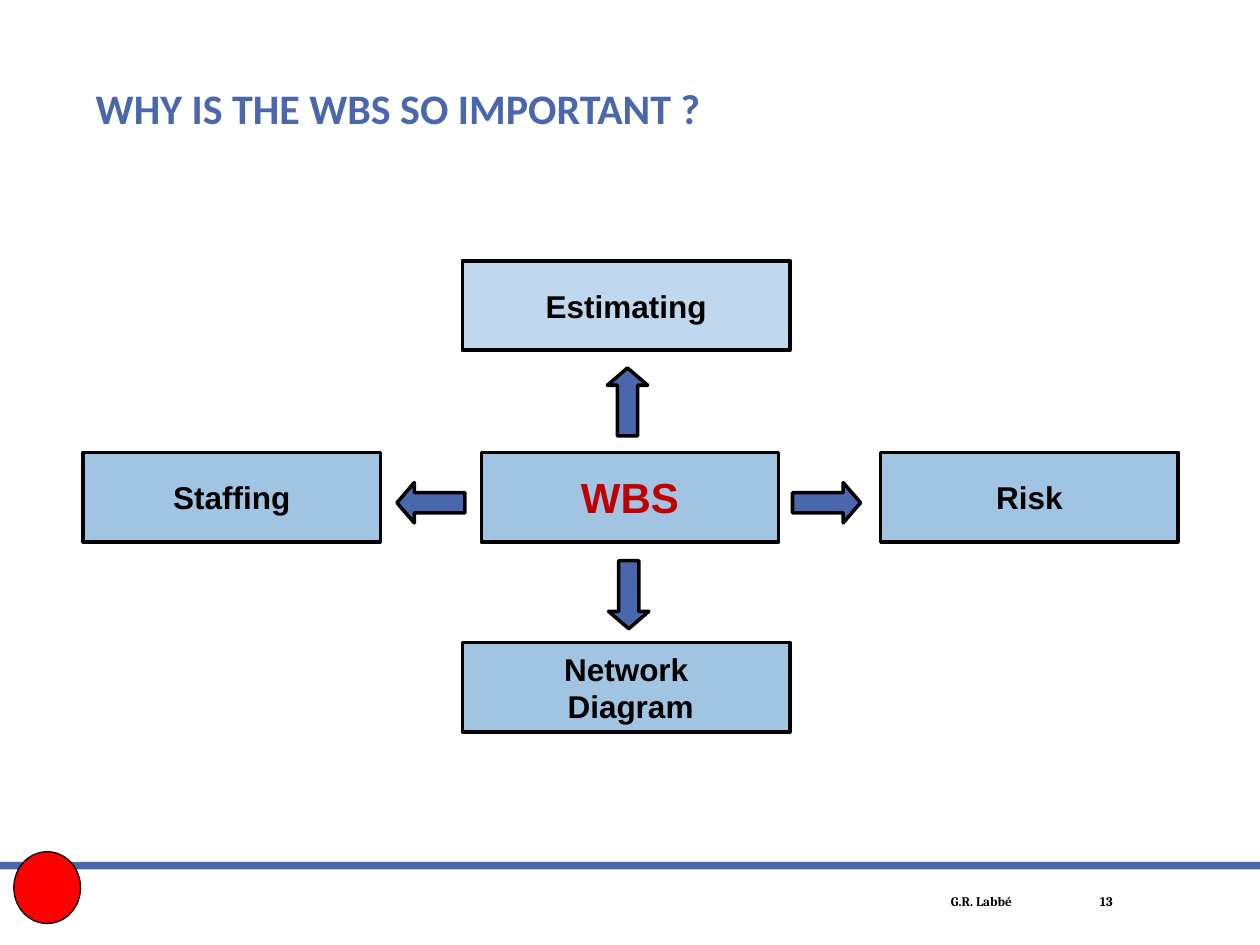
from pptx import Presentation
from pptx.dml.color import RGBColor
from pptx.enum.shapes import MSO_SHAPE
from pptx.enum.text import MSO_ANCHOR, PP_ALIGN
from pptx.util import Inches, Pt

RECTANGLE, ELLIPSE, ARROW = MSO_SHAPE.RECTANGLE, MSO_SHAPE.OVAL, MSO_SHAPE.RIGHT_ARROW
MIDDLE, BOTTOM = MSO_ANCHOR.MIDDLE, MSO_ANCHOR.BOTTOM
LEFT, CENTER, RIGHT = PP_ALIGN.LEFT, PP_ALIGN.CENTER, PP_ALIGN.RIGHT

COLORS = {
    "accent": "4A66AC",
    "box": "A1C4E3",
    "light_box": "C0D8ED",
    "center": "C00000",
    "badge": "FF0000",
    "black": "000000",
}
TITLE_FONT = {"name": "Calibri", "size": Pt(24), "bold": True}
LABEL_FONT = {"name": "Arial", "size": Pt(18), "bold": True}
CENTER_FONT = {**LABEL_FONT, "size": Pt(24)}
FOOTER_FONT = {"name": "Cambria", "size": Pt(7.5), "bold": True}

SIDE_SIZE, TALL_SIZE = (2.36, 0.71), (2.6, 0.71)
ARROW_SIZE = (0.54, 0.32)
TOPICS = [
    ("WBS", (3.16, 1.52, *SIDE_SIZE), "box", CENTER_FONT, "center"),
    ("Risk", (6.33, 1.52, *SIDE_SIZE), "box", LABEL_FONT, "black"),
    ("Staffing", (0, 1.52, *SIDE_SIZE), "box", LABEL_FONT, "black"),
    ("Network\n Diagram", (3.01, 3.03, *TALL_SIZE), "box", LABEL_FONT, "black"),
    ("Estimating", (3.01, 0, *TALL_SIZE), "light_box", LABEL_FONT, "black"),
]
ARROWS = [(5.63, 1.76, 0), (4.05, 0.96, 270), (4.06, 2.49, 90), (2.49, 1.76, 180)]


def rgb(color):
    """Return the named palette colour."""
    return RGBColor.from_string(COLORS[color])


def write_text(frame, text, font, color, align, anchor):
    """Fill a text frame with evenly formatted paragraphs."""
    frame.text = text
    frame.vertical_anchor = anchor
    for para in frame.paragraphs:
        para.alignment = align
        for span in para.runs:
            for name, value in font.items():
                setattr(span.font, name, value)
            span.font.color.rgb = rgb(color)


def add_block(page, kind, box, fill, line_width=None):
    """Add a filled shape, outlined in black when a line width is given."""
    shape = page.shapes.add_shape(kind, *map(Inches, box))
    shape.shadow.inherit = False
    shape.fill.solid()
    shape.fill.fore_color.rgb = rgb(fill)
    if line_width is None:
        shape.line.fill.background()
    else:
        shape.line.color.rgb = rgb("black")
        shape.line.width = Pt(line_width)
    return shape


def add_title(page, box):
    """Place and format the title placeholder."""
    title = page.shapes.title
    title.left, title.top, title.width, title.height = map(Inches, box)
    write_text(title.text_frame, "WHY IS THE WBS SO IMPORTANT ?", TITLE_FONT, "accent", LEFT, BOTTOM)
    title.text_frame.word_wrap = True
    title.text_frame.paragraphs[0].line_spacing = 0.9


def add_diagram(page, box):
    """Draw the central topic with arrows to its four neighbours."""
    left, top = box[:2]
    for text, (across, down, width, height), fill, font, color in TOPICS:
        topic = add_block(page, RECTANGLE, (left + across, top + down, width, height), fill, 2)
        write_text(topic.text_frame, text, font, color, CENTER, MIDDLE)
        topic.text_frame.word_wrap = False
    for across, down, rotation in ARROWS:
        arrow = add_block(page, ARROW, (left + across, top + down, *ARROW_SIZE), "accent", 2)
        arrow.rotation = rotation
        arrow.adjustments[1] = 0.43


def add_footer(page, box):
    """Draw the footer rule, badge, author and page number."""
    left, top, width = box[:3]
    add_block(page, RECTANGLE, (left, top + 0.08, width, 0.06), "accent")
    add_block(page, ELLIPSE, (left + 0.11, top, 0.53, 0.57), "badge", 0.75)
    for text, across, text_width in [("13", 8.36, 0.57), ("G.R. Labbé", 7.02, 1.11)]:
        note = page.shapes.add_textbox(*map(Inches, (left + across, top + 0.26, text_width, 0.26)))
        write_text(note.text_frame, text, FOOTER_FONT, "black", RIGHT, MIDDLE)
        note.text_frame.word_wrap = True


def main():
    """Build and save the deck."""
    deck = Presentation()
    deck.slide_width, deck.slide_height = Inches(10), Inches(7.5)
    page = deck.slides.add_slide(deck.slide_layouts[5])
    add_title(page, (0.66, 0.61, 5.51, 0.5))
    add_diagram(page, (0.66, 2.07, 8.69, 3.74))
    add_footer(page, (0, 6.76, 10, 0.57))
    deck.save("out.pptx")


if __name__ == "__main__":
    main()
